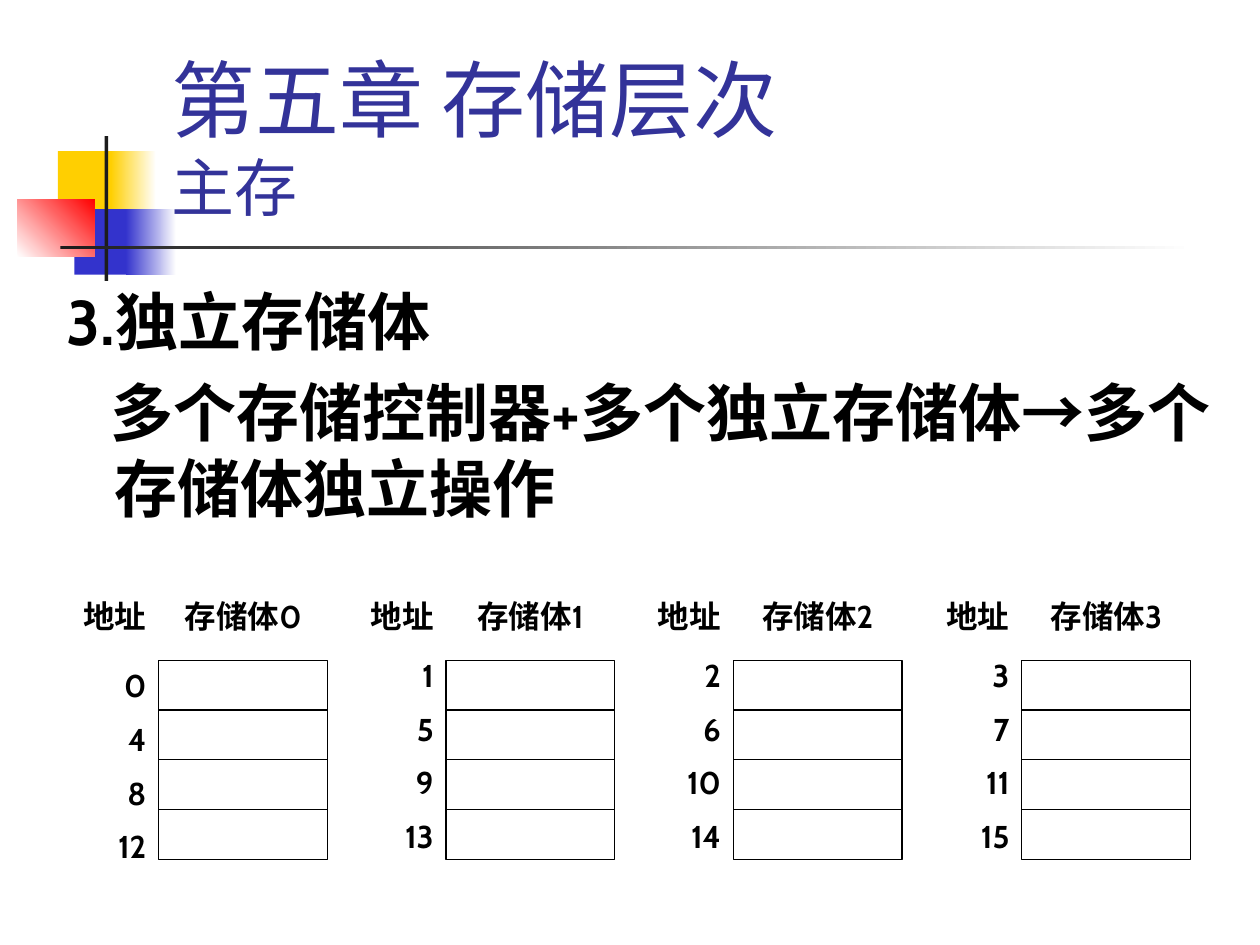
import pptx
import pptx.util
import pptx.dml.color
import pptx.enum.shapes
import pptx.enum.text
import pptx.oxml

Inches = pptx.util.Inches
Pt = pptx.util.Pt
SHAPE = pptx.enum.shapes.MSO_SHAPE
ALIGN = pptx.enum.text.PP_ALIGN
ANCHOR = pptx.enum.text.MSO_ANCHOR
AUTO = pptx.enum.text.MSO_AUTO_SIZE

FONT = "Cabin"
BLACK, WHITE, NAVY = "000000", "FFFFFF", "333399"
YELLOW, BLUE, RED, DARK = "FFCF01", "3333CC", "FF0000", "1C1C1C"

# Left edge, address top, address width, address heading width, name width
BANKS = [
    (1.26, 5.24, 0.55, 0.79, 1.34),
    (3.54, 5.16, 0.55, 0.79, 1.50),
    (5.82, 5.16, 0.63, 0.71, 1.50),
    (8.11, 5.16, 0.63, 0.71, 1.34),
]
BANK_TOP, BANK_W, BANK_H, ROWS = 5.24, 1.34, 1.58, 4
HEADING_TOP, HEADING_H = 4.69, 0.4


def color(value):
    return pptx.dml.color.RGBColor.from_string(value)


def add_rect(slide, box, fill=None, fade_to=None, angle=0, line=None):
    """Rectangle that is empty, plain or fading from fill to fade_to."""
    sp = slide.shapes.add_shape(SHAPE.RECTANGLE, *map(Inches, box))
    sp.shadow.inherit = False
    if fade_to:
        sp.fill.gradient()
        sp.fill.gradient_angle = angle
        for stop, value in zip(sp.fill.gradient_stops, (fill, fade_to)):
            stop.color.rgb = color(value)
    elif fill:
        sp.fill.solid()
        sp.fill.fore_color.rgb = color(fill)
    else:
        sp.fill.background()
    if line:
        sp.line.color.rgb = color(line)
        sp.line.width = Pt(0.75)
    else:
        sp.line.fill.background()
    return sp


def add_text(slide, box, lines, size, align=ALIGN.LEFT, gap=9, bold=True, value=BLACK):
    """Text box with one paragraph for each line."""
    tf = slide.shapes.add_textbox(*map(Inches, box)).text_frame
    tf.word_wrap = True
    for i, line in enumerate(lines):
        p = tf.paragraphs[0] if i == 0 else tf.add_paragraph()
        p.text = line
        p.alignment = align
        p.space_before = Pt(gap if i else 0)
        p.font.name = FONT
        p.font.size = Pt(size)
        p.font.bold = bold
        p.font.color.rgb = color(value)
    return tf


def add_ornament(slide):
    """Coloured squares and the crossing bars beside the title."""
    add_rect(slide, (0.46, 1.2, 0.48, 0.52), YELLOW)
    add_rect(slide, (0.88, 1.2, 0.36, 0.52), YELLOW, WHITE)
    add_rect(slide, (0.59, 1.66, 0.46, 0.52), BLUE)
    add_rect(slide, (1, 1.66, 0.4, 0.52), BLUE, WHITE)
    add_rect(slide, (0.14, 1.58, 0.61, 0.46), WHITE, RED, angle=45)
    add_rect(slide, (0.83, 1.08, 0.03, 1.15), DARK)
    add_rect(slide, (0.48, 1.95, 9, 0.03), DARK, WHITE)


def add_title(slide, box):
    tf = add_text(slide, box, ["第五章 存储层次"], 48, bold=False, value=NAVY)
    tf.vertical_anchor = ANCHOR.BOTTOM
    p = tf.paragraphs[0]
    p.add_line_break()
    r = p.add_run()
    r.text = "主存"
    r.font.size = Pt(36)


def add_body(slide, box):
    lines = ["3.独立存储体", "多个存储控制器+多个独立存储体→多个存储体独立操作"]
    tf = add_text(slide, box, lines, 36)
    # Hanging indent for the heading, a nearly flush one for the text
    for p, indent in zip(tf.paragraphs, (-0.38, -0.03)):
        pPr = p._p.get_or_add_pPr()
        pPr.set("marL", str(Inches(0.38)))
        pPr.set("indent", str(Inches(indent)))


def add_divider(slide, left, y, width):
    cn = slide.shapes.add_connector(
        pptx.enum.shapes.MSO_CONNECTOR.STRAIGHT,
        Inches(left), Inches(y), Inches(left + width), Inches(y))
    cn.line.color.rgb = color(BLACK)
    cn.line.width = Pt(0.75)
    cn._element.spPr.append(pptx.oxml.parse_xml(
        '<a:effectLst xmlns:a="http://schemas.openxmlformats.org/drawingml/2006/main"/>'))
    return cn


def add_bank(slide, box, number, address_top, address_w, heading_w, name_w):
    """Memory bank: cells, interleaved addresses and headings."""
    left, top, width, height = box
    sp = add_rect(slide, box, line=BLACK)
    for row in range(1, ROWS):
        cn = add_divider(slide, left, top + row * height / ROWS, width)
        if row * 2 == ROWS:
            cn.begin_connect(sp, 1)
            cn.end_connect(sp, 3)

    addresses = [str(number + row * len(BANKS)) for row in range(ROWS)]
    name_left = left + (width - name_w) / 2
    labels = [
        ((left - address_w, address_top, address_w, 1.68), addresses, ALIGN.RIGHT),
        ((left - heading_w, HEADING_TOP, heading_w, HEADING_H), ["地址"], ALIGN.RIGHT),
        ((name_left, HEADING_TOP, name_w, HEADING_H), [f"存储体{number}"], ALIGN.CENTER),
    ]
    for label_box, lines, align in labels:
        tf = add_text(slide, label_box, lines, 18, align)
        tf.auto_size = AUTO.SHAPE_TO_FIT_TEXT


def main():
    prs = pptx.Presentation()
    prs.slide_width, prs.slide_height = Inches(10), Inches(7.5)
    slide = prs.slides.add_slide(prs.slide_layouts[6])
    add_ornament(slide)
    add_title(slide, (1.26, 0.23, 8.52, 1.6))
    add_body(slide, (0.43, 2.19, 9.36, 5))
    for number, (left, *label_sizes) in enumerate(BANKS):
        add_bank(slide, (left, BANK_TOP, BANK_W, BANK_H), number, *label_sizes)
    prs.save("out.pptx")


if __name__ == "__main__":
    main()
